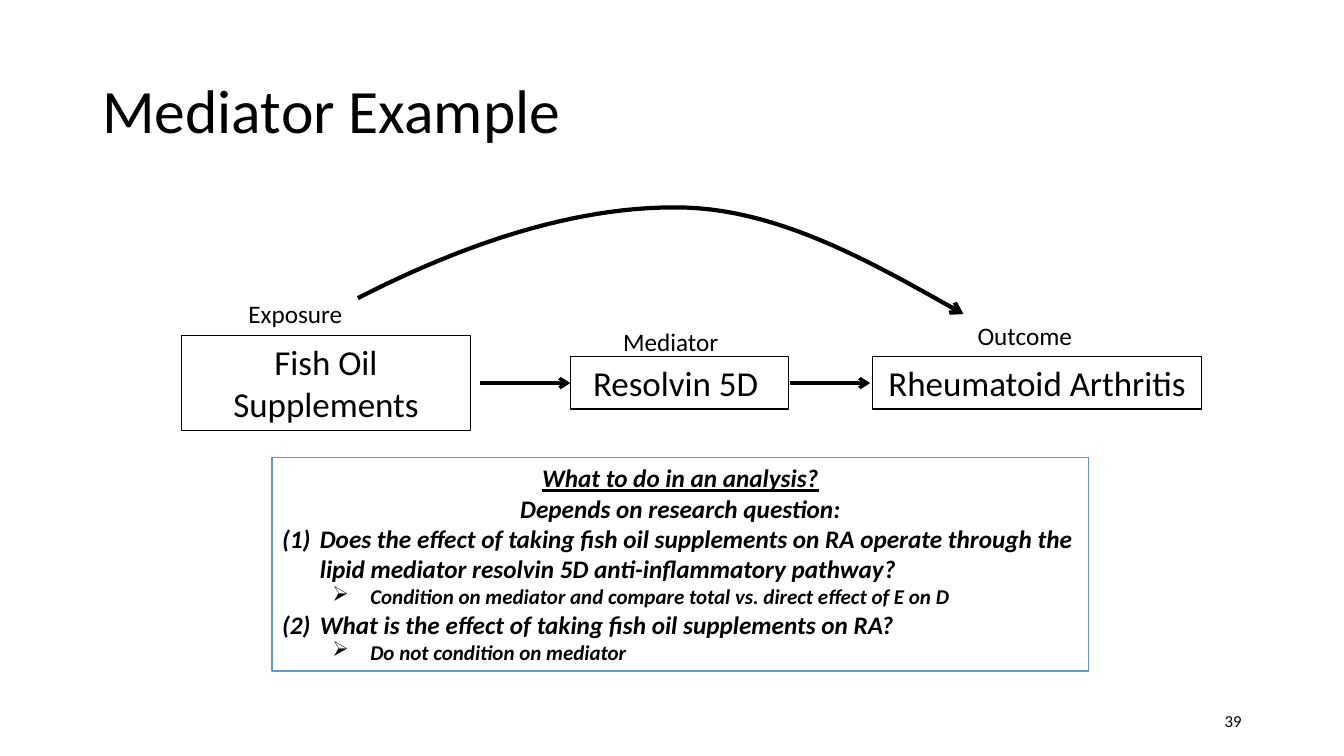
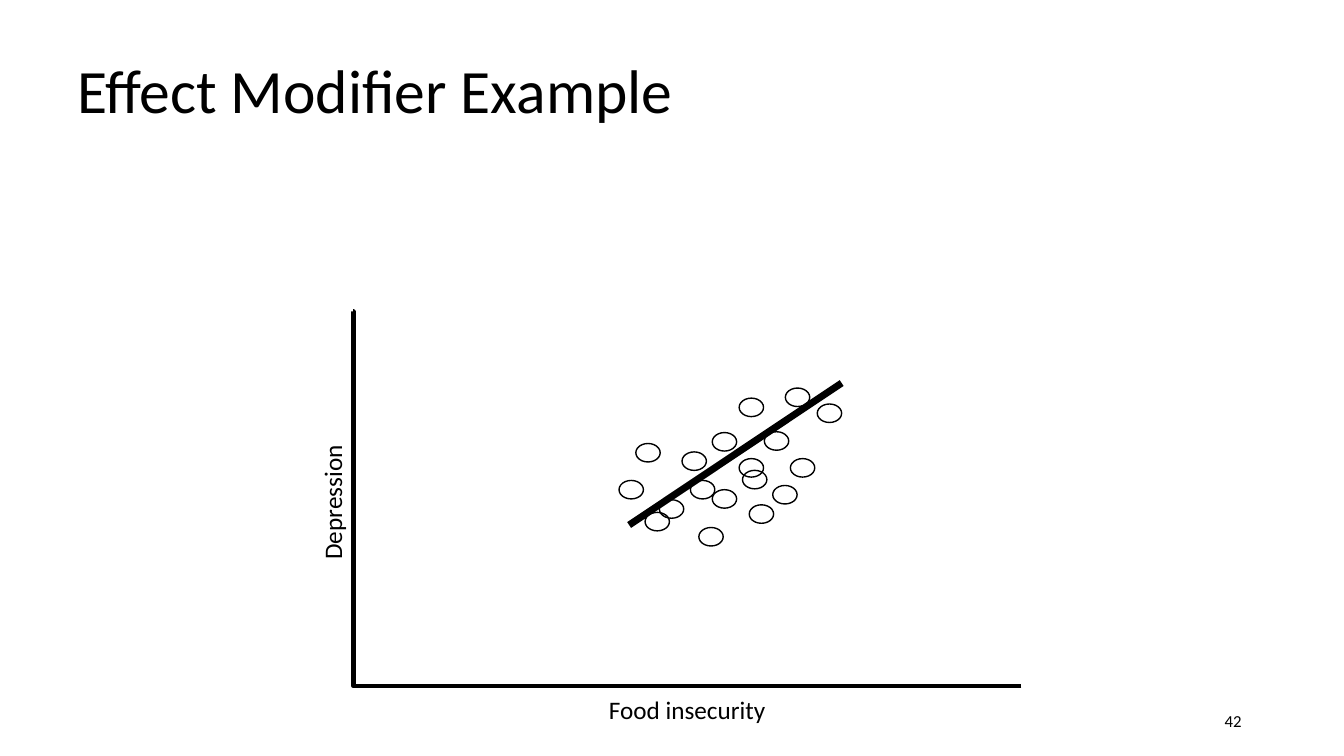
"""Build two slides on mediators and effect modifiers with python-pptx."""
from dataclasses import dataclass
from typing import Any, NamedTuple, Optional

import lxml.etree
import pptx
import pptx.dml.color
import pptx.enum.shapes
import pptx.enum.text
import pptx.oxml.ns
import pptx.util

RGBColor = pptx.dml.color.RGBColor
Pt = pptx.util.Pt
Shape = pptx.enum.shapes.MSO_SHAPE
Connector = pptx.enum.shapes.MSO_CONNECTOR
Align = pptx.enum.text.PP_ALIGN
Anchor = pptx.enum.text.MSO_ANCHOR
qn = pptx.oxml.ns.qn

BLACK = RGBColor(0x00, 0x00, 0x00)
WHITE = RGBColor(0xFF, 0xFF, 0xFF)
BLUE = RGBColor(0x5B, 0x9B, 0xD5)
FONT = "Calibri"
WIDTH, HEIGHT = pptx.util.Emu(12192000), pptx.util.Emu(6858000)
COLS, ROWS = 160, 90
LABEL_ROWS = 4.8
DOT_COLS, DOT_ROWS = 2.9, 2.2


class Point(NamedTuple):
    """A place on the grid."""
    col: float
    row: float


class Area(NamedTuple):
    """A rectangle on the grid."""
    col: float
    row: float
    cols: float
    rows: float


class Label(NamedTuple):
    """A text with its area."""
    text: str
    area: Area


@dataclass(frozen=True)
class Style:
    """The look of a run and its paragraph."""
    size: float
    align: Any = Align.LEFT
    bold: bool = False
    italic: bool = False
    underline: bool = False
    spacing: Optional[float] = None


@dataclass(frozen=True)
class Bullet:
    """A list marker with its level and left margin in points."""
    tag: str
    attribute: str
    value: str
    level: int
    margin: float
    size: float


TITLE = Style(44, spacing=0.9)
NUMBER = Style(12, Align.RIGHT)
BOX = Style(25, Align.CENTER)
LABEL = Style(18)
AXIS = Style(18, Align.CENTER)
QUESTION = Bullet("a:buAutoNum", "type", "arabicParenBoth", 0, 27, 18)
ANSWER = Bullet("a:buChar", "char", "➢", 1, 63, 15)
HANGING = 27

BOXES = [
    Label("Fish Oil Supplements", Area(21.6, 40, 34.4, 11.3)),
    Label("Resolvin 5D ", Area(67.9, 42.5, 26, 6.2)),
    Label("Rheumatoid Arthritis", Area(103.9, 42.5, 39.1, 6.2)),
]
ROLES = [
    Label("Exposure", Area(28.4, 34.9, 13.7, LABEL_ROWS)),
    Label("Mediator", Area(73, 38.3, 13.9, LABEL_ROWS)),
    Label("Outcome", Area(115.2, 37.6, 13.8, LABEL_ROWS)),
]
ARROW_ROW = 45.6
ARROWS = [(57.1, 67.9), (94, 103.6)]
CURVES = [
    (Point(42.6, 35.5), Point(55.3, 29), Point(68.2, 24.7), Point(80.2, 24.7)),
    (Point(80.2, 24.7), Point(92.2, 24.6), Point(103.4, 31), Point(114.7, 37.4)),
]
ANALYSIS = [
    (QUESTION, "Does the effect of taking fish oil supplements on RA operate through "
               "the lipid mediator resolvin 5D anti-inflammatory pathway?"),
    (ANSWER, "Condition on mediator and compare total vs. direct effect of E on D"),
    (QUESTION, "What is the effect of taking fish oil supplements on RA?"),
    (ANSWER, "Do not condition on mediator"),
]
DOTS = [Point(*dot) for dot in (
    (83.2, 62.8), (82.2, 57.2), (88.4, 56), (84.8, 51.5), (88, 47.4), (97.3, 48.1),
    (91, 51.4), (93.5, 46.2), (76.8, 61), (73.7, 57.2), (78.5, 59.5), (84.8, 58.3),
    (81.2, 53.8), (88, 54.6), (75.7, 52.8), (94.1, 54.6), (89.2, 60.1), (92, 57.8))]


def x(col: float) -> int:
    """Turn columns into a length."""
    return round(WIDTH * col / COLS)


def y(row: float) -> int:
    """Turn rows into a length."""
    return round(HEIGHT * row / ROWS)


def frame(area: Area) -> tuple[int, int, int, int]:
    """Turn an area into left, top, width and height."""
    return x(area.col), y(area.row), x(area.cols), y(area.rows)


def add_run(p: Any, text: str, style: Style) -> None:
    """Add one styled run and align its paragraph."""
    p.alignment = style.align
    if style.spacing:
        p.line_spacing = style.spacing
    r = p.add_run()
    r.text = text
    r.font.name, r.font.size = FONT, Pt(style.size)
    r.font.bold, r.font.italic = style.bold, style.italic
    r.font.underline = style.underline
    r.font.color.rgb = BLACK


def add_text(s: Any, label: Label, style: Style, anchor: Any = Anchor.TOP,
             wrap: bool = True) -> Any:
    """Add a text box."""
    sp = s.shapes.add_textbox(*frame(label.area))
    tf = sp.text_frame
    tf.word_wrap, tf.vertical_anchor = wrap, anchor
    add_run(tf.paragraphs[0], label.text, style)
    return sp


def add_outline(s: Any, kind: Any, area: Area, weight: float,
                color: RGBColor = BLACK) -> Any:
    """Add an unfilled preset shape with a line."""
    sp = s.shapes.add_shape(kind, *frame(area))
    sp.shadow.inherit = False
    sp.fill.background()
    sp.line.color.rgb, sp.line.width = color, Pt(weight)
    sp.text_frame.word_wrap = True
    sp.text_frame.vertical_anchor = Anchor.TOP
    return sp


def add_arrowhead(sp: Any) -> None:
    """End a line with an open arrowhead."""
    ln = sp.line._get_or_add_ln()
    lxml.etree.SubElement(ln, qn("a:tailEnd"), type="arrow")


def add_line(s: Any, start: Point, end: Point, weight: float,
             kind: Any = Connector.STRAIGHT) -> Any:
    """Add a black connector between two points."""
    sp = s.shapes.add_connector(kind, x(start.col), y(start.row), x(end.col), y(end.row))
    sp.line.color.rgb, sp.line.width = BLACK, Pt(weight)
    lxml.etree.SubElement(sp._element.spPr, qn("a:effectLst"))
    return sp


def bezier(curve: tuple[Point, ...], t: float) -> tuple[int, int]:
    """Give the place on a cubic curve at share t."""
    u = 1 - t
    weights = (u ** 3, 3 * u * u * t, 3 * u * t * t, t ** 3)
    return (x(sum(w * c.col for w, c in zip(weights, curve))),
            y(sum(w * c.row for w, c in zip(weights, curve))))


def add_curved_arrow(s: Any, steps: int = 24) -> None:
    """Draw the direct path from exposure to outcome."""
    points = [bezier(curve, i / steps) for curve in CURVES for i in range(1, steps + 1)]
    builder = s.shapes.build_freeform(*bezier(CURVES[0], 0))
    builder.add_line_segments(points, close=False)
    sp = builder.convert_to_shape()
    sp.shadow.inherit = False
    sp.fill.background()
    sp.line.color.rgb, sp.line.width = BLACK, Pt(3)
    add_arrowhead(sp)


def add_bullet(p: Any, bullet: Bullet) -> None:
    """Give a paragraph a hanging list marker."""
    p.level = bullet.level
    pPr = p._p.get_or_add_pPr()
    pPr.set("marL", str(Pt(bullet.margin)))
    pPr.set("indent", str(-Pt(HANGING)))
    lxml.etree.SubElement(pPr, qn(bullet.tag)).set(bullet.attribute, bullet.value)


def add_analysis(s: Any) -> None:
    """Add the box of analysis advice."""
    sp = add_outline(s, Shape.RECTANGLE, Area(32.4, 54.5, 97.2, 25.4), 1, BLUE)
    sp.fill.solid()
    sp.fill.fore_color.rgb = WHITE
    tf = sp.text_frame
    p = tf.paragraphs[0]
    add_run(p, "What to do in an analysis?", Style(18, Align.CENTER, True, True, True))
    p.add_line_break()
    add_run(p, "Depends on research question:", Style(18, Align.CENTER, True, True))
    for bullet, text in ANALYSIS:
        p = tf.add_paragraph()
        add_bullet(p, bullet)
        add_run(p, text, Style(bullet.size, bold=True, italic=True))


def add_slide(prs: Any, title: Label, number: str) -> Any:
    """Add a blank slide with its title and number."""
    s = prs.slides.add_slide(prs.slide_layouts[6])
    add_text(s, title, TITLE, Anchor.MIDDLE)
    add_text(s, Label(number, Area(113, 83.4, 36, LABEL_ROWS)), NUMBER, Anchor.MIDDLE)
    return s


def build_mediator(prs: Any) -> None:
    """Build the mediator diagram."""
    s = add_slide(prs, Label("Mediator Example", Area(11, 4.8, 138, 17.4)), "39")
    for box in BOXES:
        sp = add_outline(s, Shape.RECTANGLE, box.area, 0.75)
        add_run(sp.text_frame.paragraphs[0], box.text, BOX)
    for start, end in ARROWS:
        add_arrowhead(add_line(s, Point(start, ARROW_ROW), Point(end, ARROW_ROW), 2.5))
    add_curved_arrow(s)
    add_analysis(s)
    for role in ROLES:
        add_text(s, role, LABEL, wrap=False)


def build_modifier(prs: Any) -> None:
    """Build the effect modifier scatter sketch."""
    s = add_slide(prs, Label("Effect Modifier Example", Area(8, 3.6, 144, 15)), "42")
    axes = add_line(s, Point(121.6, 81.7), Point(42, 37.1), 3, Connector.ELBOW)
    guides = axes._element.spPr.find(qn("a:prstGeom")).find(qn("a:avLst"))
    lxml.etree.SubElement(guides, qn("a:gd"), name="adj1", fmla="val 99900")
    sp = add_text(s, Label("Depression", Area(24, 57.4, 31.1, LABEL_ROWS)), AXIS)
    sp.rotation = 270
    add_text(s, Label("Food insecurity", Area(66.6, 82.1, 30.4, LABEL_ROWS)), AXIS)
    for dot in DOTS:
        add_outline(s, Shape.OVAL, Area(dot.col, dot.row, DOT_COLS, DOT_ROWS), 1)
    add_line(s, Point(74.9, 62.5), Point(100.2, 45.6), 5)


def main() -> None:
    """Build and save the presentation."""
    prs = pptx.Presentation()
    prs.slide_width, prs.slide_height = WIDTH, HEIGHT
    build_mediator(prs)
    build_modifier(prs)
    prs.save("out.pptx")


if __name__ == "__main__":
    main()
